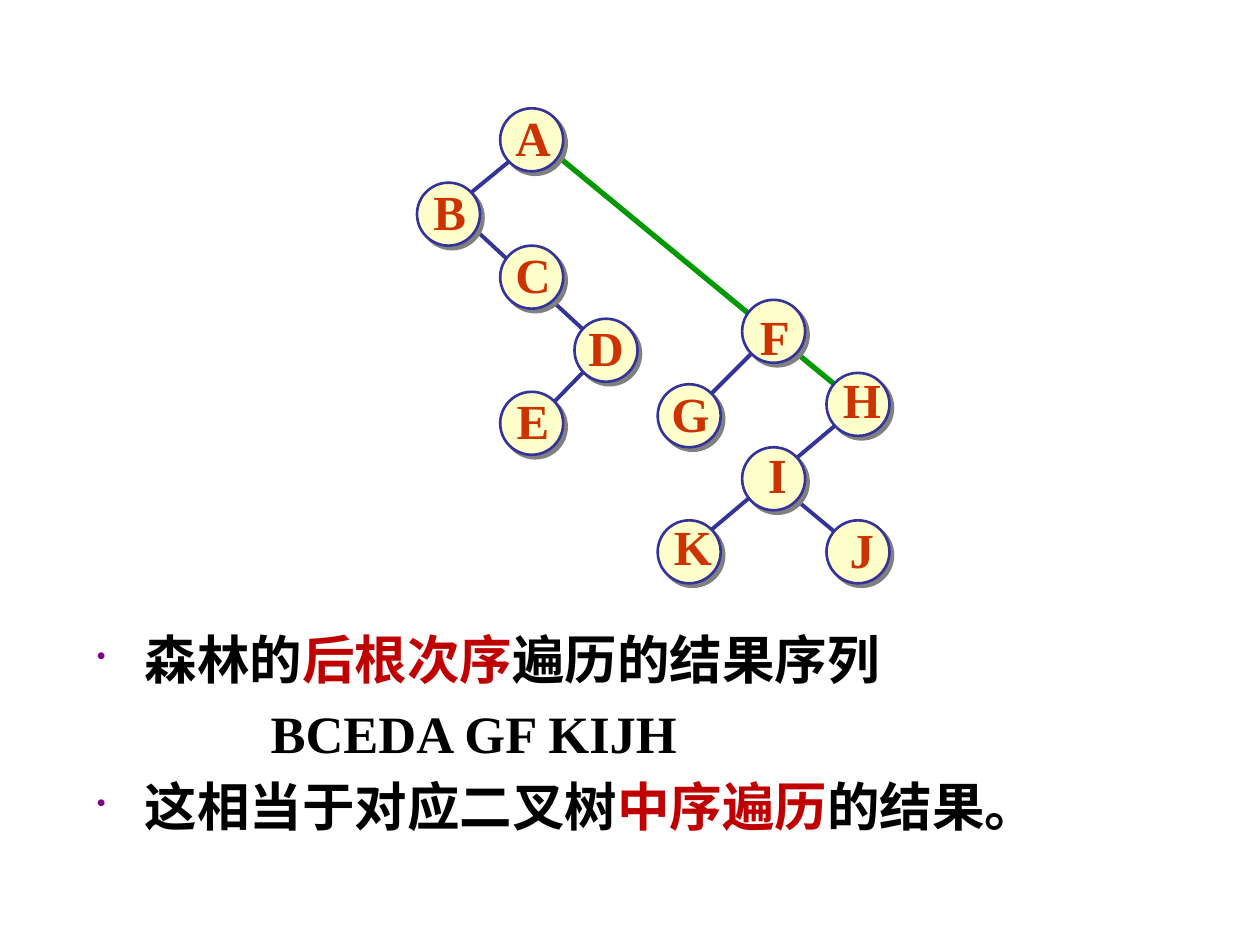
from typing import NamedTuple

from lxml.etree import SubElement
from pptx import Presentation
from pptx.dml.color import RGBColor
from pptx.enum.shapes import MSO_CONNECTOR, MSO_SHAPE
from pptx.enum.text import MSO_ANCHOR, PP_ALIGN
from pptx.oxml.ns import qn
from pptx.util import Inches, Pt

BLUE = RGBColor(0x33, 0x33, 0x99)
GREEN = RGBColor(0x00, 0x99, 0x00)
CREAM = RGBColor(0xFF, 0xFF, 0xCC)
ORANGE = RGBColor(0xCC, 0x33, 0x00)
RED = RGBColor(0xC0, 0x00, 0x00)
BLACK = RGBColor(0x00, 0x00, 0x00)
PURPLE = RGBColor(0x80, 0x00, 0x80)
GRAY = RGBColor(0x80, 0x80, 0x80)

FONT = "Times New Roman"
SLIDE_WIDTH, SLIDE_HEIGHT = Inches(10), Inches(7.5)
CELL = SLIDE_WIDTH // 100  # square grid: 100 columns by 75 rows
DIAMETER = 5
LABEL_HEIGHT = 5.7


class Node(NamedTuple):
    letter: str
    column: float
    row: float
    label_width: float
    label_shift: tuple[float, float] = (0.1, -0.25)  # from the circle's centre


class Edge(NamedTuple):
    start: tuple[float, float]
    end: tuple[float, float]
    color: RGBColor = BLUE
    width: float = 2.25


class Line(NamedTuple):
    runs: list[tuple[str, RGBColor]]
    bulleted: bool = True


EDGES = [
    Edge((43.9, 12.1), (67.2, 31.3), GREEN, 3),  # A - F - H
    Edge((47.2, 28.6), (43.1, 32.8)),  # D - E
    Edge((36.4, 17.0), (47.2, 27.0)),  # B - C - D
    Edge((41.4, 12.0), (36.4, 16.1)),  # A - B
    Edge((63.1, 39.6), (67.2, 43.0)),  # I - J
    Edge((67.2, 33.0), (56.4, 42.1)),  # H - I - K
    Edge((60.6, 27.1), (55.6, 32.1)),  # F - G
]

NODES = [
    Node("A", 39.7, 8.6, 4.8),
    Node("B", 33.1, 14.5, 4.6),
    Node("C", 39.7, 19.5, 4.8),
    Node("D", 45.6, 25.3, 4.8, (0, -0.3)),
    Node("E", 39.7, 31.1, 4.6),
    Node("F", 58.9, 23.8, 4.4, (0.1, 0.35)),
    Node("G", 52.2, 30.5, 5.0),
    Node("H", 65.6, 29.6, 5.0, (0.3, -0.45)),
    Node("I", 58.9, 35.5, 3.5, (0.3, -0.35)),
    Node("J", 65.6, 41.3, 4.0, (0.3, -0.25)),
    Node("K", 52.2, 41.3, 5.0, (0.3, -0.45)),
]

LINES = [
    Line([("森林的", BLACK), ("后根次序", RED), ("遍历的结果序列", BLACK)]),
    Line([("BCEDA GF KIJH", BLACK)], bulleted=False),
    Line([("这相当于对应二叉树", BLACK), ("中序遍历", RED), ("的结果。", BLACK)]),
]


def cells(*counts: float) -> list[int]:
    return [round(count * CELL) for count in counts]


def add_run(paragraph, text: str, size: float, color: RGBColor) -> None:
    run = paragraph.add_run()
    run.text = text
    font = run.font
    font.name, font.size, font.bold = FONT, Pt(size), True
    font.color.rgb = color


def add_edge(slide, edge: Edge) -> None:
    connector = slide.shapes.add_connector(
        MSO_CONNECTOR.STRAIGHT, *cells(*edge.start, *edge.end))
    connector.line.color.rgb = edge.color
    connector.line.width = Pt(edge.width)
    SubElement(connector._element.spPr, qn("a:effectLst"))


def add_hard_shadow(shape) -> None:
    """Offset a solid grey shadow to the lower right."""
    shape.shadow.inherit = False
    effects = shape._element.spPr.find(qn("a:effectLst"))
    shadow = SubElement(effects, qn("a:outerShdw"), dist=str(Pt(2.8)),
                        dir="2700000", algn="ctr", rotWithShape="0")
    SubElement(shadow, qn("a:srgbClr"), val=str(GRAY))


def add_node(slide, node: Node) -> None:
    circle = slide.shapes.add_shape(
        MSO_SHAPE.OVAL, *cells(node.column, node.row, DIAMETER, DIAMETER))
    circle.fill.solid()
    circle.fill.fore_color.rgb = CREAM
    circle.line.color.rgb = BLUE
    circle.line.width = Pt(1.5)
    add_hard_shadow(circle)

    shift_x, shift_y = node.label_shift
    left = node.column + (DIAMETER - node.label_width) / 2 + shift_x
    top = node.row + (DIAMETER - LABEL_HEIGHT) / 2 + shift_y
    label = slide.shapes.add_textbox(
        *cells(left, top, node.label_width, LABEL_HEIGHT))
    frame = label.text_frame
    frame.word_wrap = False
    frame.vertical_anchor = MSO_ANCHOR.MIDDLE
    paragraph = frame.paragraphs[0]
    paragraph.alignment = PP_ALIGN.CENTER
    add_run(paragraph, node.letter, 28, ORANGE)


def format_indent(paragraph, bulleted: bool) -> None:
    """Hang a small purple bullet, or indent a plain line further."""
    properties = paragraph._p.get_or_add_pPr()
    margin, indent = (3.8, -3.8) if bulleted else (13.8, 0)
    properties.set("marL", str(cells(margin)[0]))
    properties.set("indent", str(cells(indent)[0]))
    if not bulleted:
        SubElement(properties, qn("a:buNone"))
        return
    color = SubElement(properties, qn("a:buClr"))
    SubElement(color, qn("a:srgbClr"), val=str(PURPLE))
    SubElement(properties, qn("a:buSzPct"), val="50000")
    SubElement(properties, qn("a:buChar"), char="•")


def add_summary(slide, lines: list[Line]) -> None:
    box = slide.shapes.add_textbox(*cells(6.7, 49.3, 90, 20.5))
    frame = box.text_frame
    frame.word_wrap = True
    for index, line in enumerate(lines):
        paragraph = frame.add_paragraph() if index else frame.paragraphs[0]
        format_indent(paragraph, line.bulleted)
        if index:
            paragraph.space_before = Pt(6)
        for text, color in line.runs:
            add_run(paragraph, text, 30, color)


def main() -> None:
    presentation = Presentation()
    presentation.slide_width = SLIDE_WIDTH
    presentation.slide_height = SLIDE_HEIGHT
    slide = presentation.slides.add_slide(presentation.slide_layouts[6])
    for edge in EDGES:
        add_edge(slide, edge)
    for node in NODES:
        add_node(slide, node)
    add_summary(slide, LINES)
    presentation.save("out.pptx")


if __name__ == "__main__":
    main()
